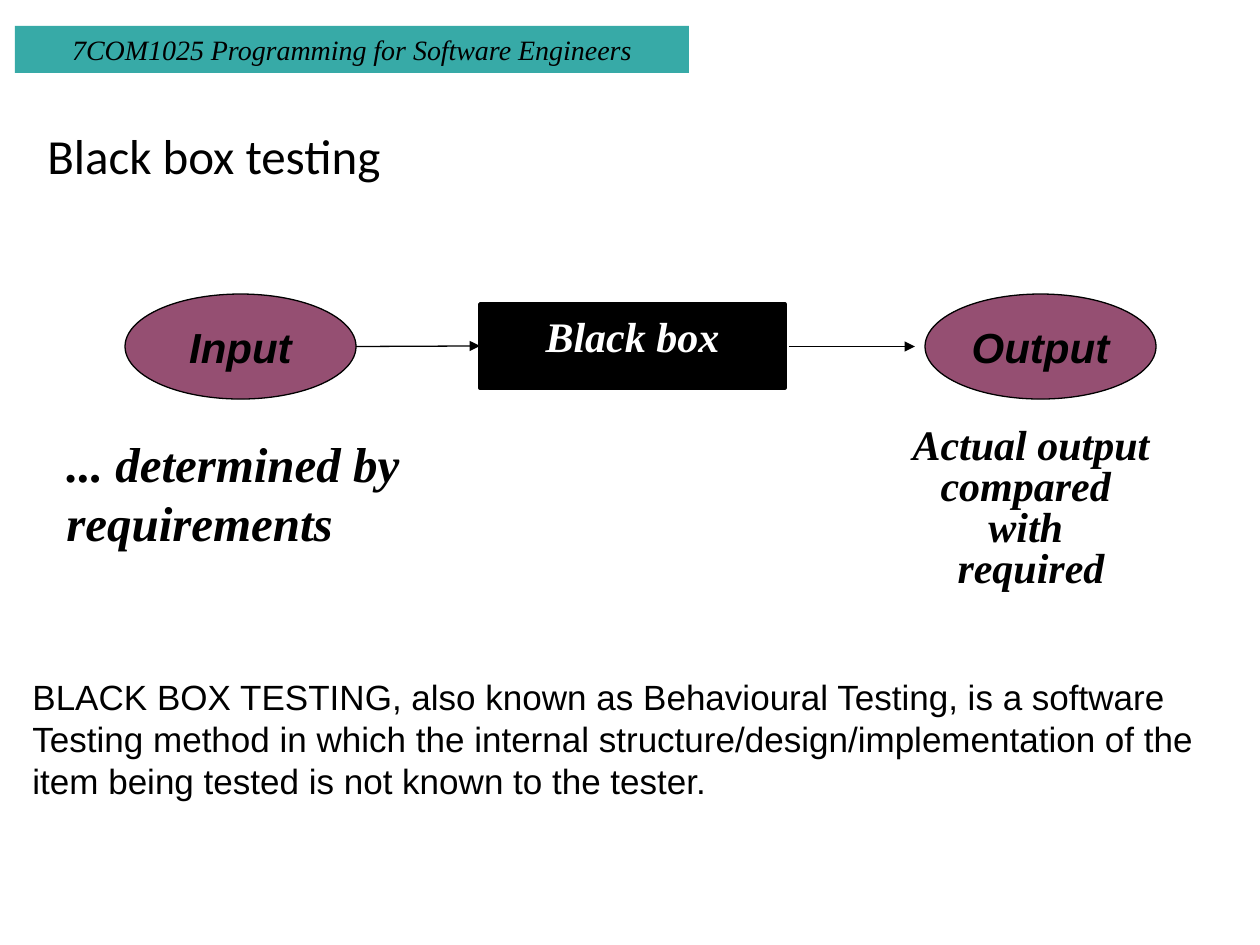
from lxml import etree
from pptx import Presentation
from pptx.dml.color import RGBColor
from pptx.enum.shapes import MSO_CONNECTOR, MSO_SHAPE
from pptx.enum.text import MSO_ANCHOR, MSO_AUTO_SIZE, PP_ALIGN
from pptx.oxml.ns import qn
from pptx.util import Emu, Pt

RECT, OVAL = MSO_SHAPE.RECTANGLE, MSO_SHAPE.OVAL
STRAIGHT = MSO_CONNECTOR.STRAIGHT
TOP, MIDDLE = MSO_ANCHOR.TOP, MSO_ANCHOR.MIDDLE
LEFT, CENTER = PP_ALIGN.LEFT, PP_ALIGN.CENTER
GROW = MSO_AUTO_SIZE.SHAPE_TO_FIT_TEXT
EMU_PER_PX = 914400 / 126

TEAL, PLUM, BLACK, WHITE = "37AAA7", "954F72", "000000", "FFFFFF"
SERIF, SANS = "Times New Roman", "Arial"
BOLD_SERIF = {"name": SERIF, "size": Pt(24), "bold": True, "italic": True}
BOLD_SANS = {**BOLD_SERIF, "name": SANS}


def px(n):
    return Emu(round(n * EMU_PER_PX))


def rgb(value):
    return RGBColor.from_string(value)


def write(sp, lines, font, color=BLACK, align=LEFT, para=None, **frame):
    tf = sp.text_frame
    for key, value in {"word_wrap": True, "vertical_anchor": TOP, **frame}.items():
        setattr(tf, key, value)
    for i, line in enumerate(lines):
        p = tf.add_paragraph() if i else tf.paragraphs[0]
        for key, value in {"alignment": align, **(para or {})}.items():
            setattr(p, key, value)
        r = p.add_run()
        r.text = line
        for key, value in font.items():
            setattr(r.font, key, value)
        r.font.color.rgb = rgb(color)


def add_text(s, box, lines, font, **options):
    sp = s.shapes.add_textbox(*map(px, box))
    write(sp, lines, font, **options)


def add_block(s, kind, box, fill, line_width=0):
    sp = s.shapes.add_shape(kind, *map(px, box))
    sp.shadow.inherit = False
    sp.fill.solid()
    sp.fill.fore_color.rgb = rgb(fill)
    if line_width:
        sp.line.color.rgb = rgb(BLACK)
        sp.line.width = Pt(line_width)
    else:
        sp.line.fill.background()
    return sp


def add_arrow(s, x1, x2, y):
    cxn = s.shapes.add_connector(STRAIGHT, px(x1), px(y), px(x2), px(y))
    cxn.line.color.rgb = rgb(BLACK)
    cxn.line.width = Pt(0.75)
    etree.SubElement(cxn.line._get_or_add_ln(), qn("a:tailEnd"), type="triangle")
    etree.SubElement(cxn._element.spPr, qn("a:effectLst"))
    return cxn


def add_header(s, box):
    sp = add_block(s, RECT, box, TEAL)
    font = {"name": SERIF, "size": Pt(16), "italic": True}
    write(sp, ["7COM1025 Programming for Software Engineers"], font,
          align=CENTER, auto_size=GROW)


def add_title(s, box):
    add_text(s, box, ["Black box testing"], {"name": "Calibri", "size": Pt(28)},
             para={"line_spacing": 0.9}, vertical_anchor=MIDDLE)


def add_flow(s, box):
    x, y, w, h = box
    oval_w = 231
    mid = y + h / 2

    # Black box
    black_box = add_block(s, RECT, (x + 355, y + 10, 305, 84), BLACK, 2)
    write(black_box, ["Black box"], BOLD_SERIF, color=WHITE, align=CENTER,
          word_wrap=False)

    # Input and output
    for name, left in (("Input", x), ("Output", x + w - oval_w)):
        sp = add_block(s, OVAL, (left, y, oval_w, h), PLUM, 0.75)
        write(sp, [name], BOLD_SANS, align=CENTER, word_wrap=False,
              vertical_anchor=MIDDLE)

    # Arrows
    add_arrow(s, x + oval_w, x + 355, mid).end_connect(black_box, 1)
    add_arrow(s, x + 664, x + 790, mid)


def add_captions(s, box):
    x, y, w, h = box
    add_text(s, (x, y, 374, 130), ["... determined by requirements"],
             {**BOLD_SERIF, "size": Pt(28)}, auto_size=GROW)
    add_text(s, (x + w - 270, y + 11, 270, h - 11),
             ["Actual output", "compared ", "with ", "required"], BOLD_SERIF,
             align=CENTER, para={"line_spacing": 0.4, "space_before": Pt(12)},
             word_wrap=False, auto_size=GROW)


def add_definition(s, box):
    add_text(s, box, [
        "BLACK BOX TESTING, also known as Behavioural Testing, is a software",
        "Testing method in which the internal structure/design/implementation of the",
        "item being tested is not known to the tester.",
    ], {"name": SANS, "size": Pt(20)}, word_wrap=False, auto_size=GROW)


def main():
    prs = Presentation()
    prs.slide_width, prs.slide_height = px(1260), px(945)
    s = prs.slides.add_slide(prs.slide_layouts[6])
    add_header(s, (15, 26, 674, 47))
    add_title(s, (35, 117, 1071, 84))
    add_flow(s, (125, 294, 1031, 105))
    add_captions(s, (54, 427, 1112, 180))
    add_definition(s, (20, 669, 1215, 140))
    prs.save("out.pptx")


if __name__ == "__main__":
    main()
